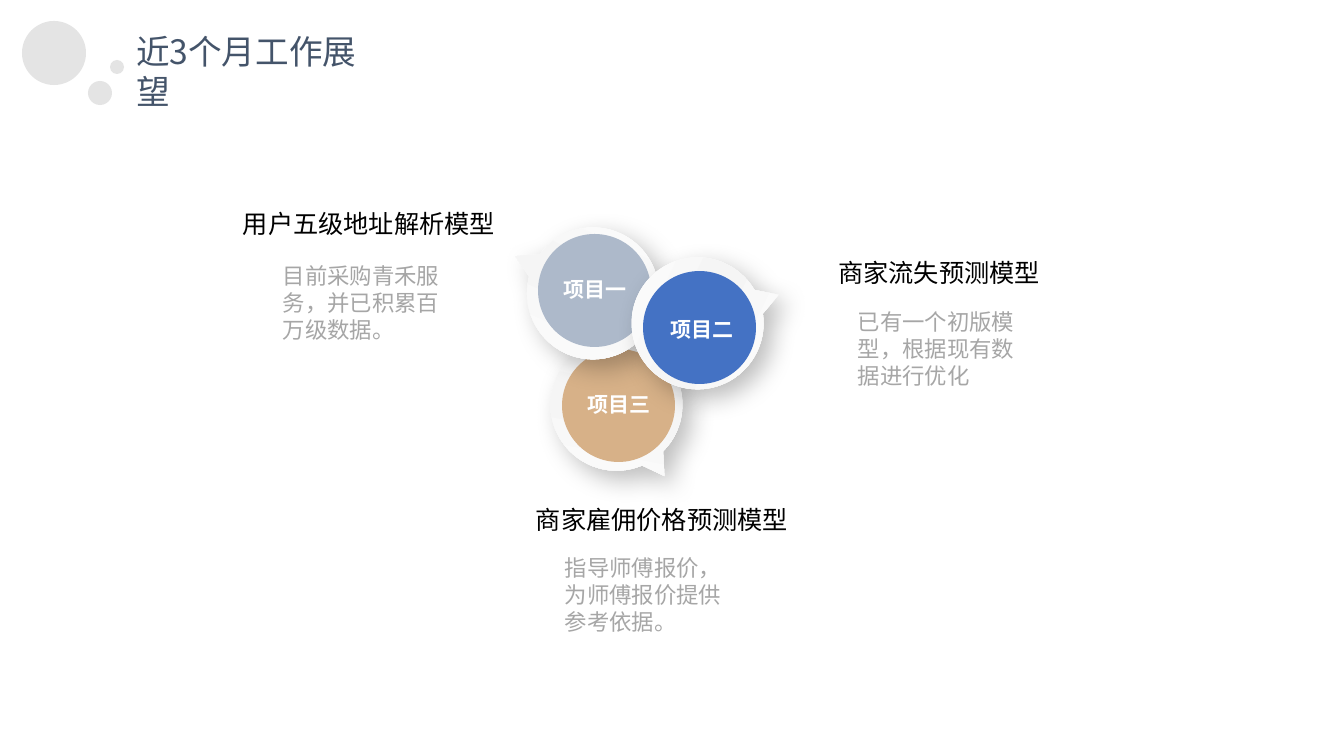
import math

import lxml.etree
import pptx
import pptx.dml.color
import pptx.enum.shapes
import pptx.enum.text
import pptx.oxml
import pptx.oxml.ns
import pptx.util

PX = 914400 / 100.8
RADIUS, TIP, TAIL, DISC = 66, 86, 11, 113  # px, px, degrees, px
FINE = 100  # outline units in one px
SHAPE = pptx.enum.shapes.MSO_SHAPE
ALIGN = pptx.enum.text.PP_ALIGN
ANCHOR = pptx.enum.text.MSO_ANCHOR
RGB = pptx.dml.color.RGBColor.from_string
qn = pptx.oxml.ns.qn
NS = pptx.oxml.ns.nsdecls("a")
CJK = "Noto Sans CJK SC"

THEME = {
    "dots": "D9D9D9",
    "title": dict(size=24, color="44546A", name=CJK, bold=False),
    "label": dict(size=15, color="FFFFFF", name=CJK, bold=True),
    "heading": dict(size=18, color="000000", name="Arial", bold=False),
    "body": dict(size=16, color="A6A6A6", name="Arial", bold=False),
}

GRADIENT = (
    '<a:gradFill {ns} rotWithShape="1"><a:gsLst>'
    '<a:gs pos="0"><a:srgbClr val="FFFFFF"/></a:gs>'
    '<a:gs pos="47000"><a:srgbClr val="F5F5F5"/></a:gs>'
    '<a:gs pos="100000"><a:srgbClr val="FFFFFF"/></a:gs>'
    '</a:gsLst><a:lin ang="{angle}" scaled="0"/></a:gradFill>'
)
SHADOW = (
    f'<a:effectLst {NS}><a:outerShdw blurRad="228600" dist="114300" dir="2700000" '
    'algn="tl" rotWithShape="0"><a:srgbClr val="000000"><a:alpha val="25000"/>'
    '</a:srgbClr></a:outerShdw></a:effectLst>'
)


def write(sp, box, text, style, align=ALIGN.LEFT, anchor=ANCHOR.TOP, wrap=True):
    """Place a text shape at box (px) and fill it with one styled run."""
    sp.left, sp.top, sp.width, sp.height = [round(v * PX) for v in box]
    look = THEME[style]
    tf = sp.text_frame
    tf.word_wrap, tf.vertical_anchor = wrap, anchor
    tf.auto_size = pptx.enum.text.MSO_AUTO_SIZE.NONE
    p = tf.paragraphs[0]
    p.alignment, p.line_spacing = align, 1.0
    r = p.add_run()
    r.text = text
    r.font.size = pptx.util.Pt(look["size"])
    r.font.color.rgb = RGB(look["color"])
    for key in ("name", "bold"):
        setattr(r.font, key, look[key])
    ea = lxml.etree.SubElement(r._r.get_or_add_rPr(), qn("a:ea"))
    ea.set("typeface", CJK)


def add_disc(x, y, size, color):
    sp = s.shapes.add_shape(SHAPE.OVAL, *[round(v * PX) for v in (x, y, size, size)])
    sp.shadow.inherit = False
    sp.fill.solid()
    sp.fill.fore_color.rgb = RGB(color)
    sp.line.fill.background()
    return sp


prs = pptx.Presentation()
prs.slide_width, prs.slide_height = round(1344 * PX), round(756 * PX)
s = prs.slides.add_slide(prs.slide_layouts[5])

for x, y, size in ((22, 21, 64), (88, 81, 24), (110, 60, 14)):
    dot = add_disc(x, y, size, THEME["dots"])
    clr = dot._element.spPr.find(".//" + qn("a:srgbClr"))
    lxml.etree.SubElement(clr, qn("a:alpha")).set("val", "70000")

write(s.shapes.title, (126, 26, 272, 50), "近3个月工作展望", "title")

# An upright bubble: the tip on top, then four arcs from one foot to the other
stops = [math.radians(a) for a in (TAIL - 90, 0, 90, 180, 270 - TAIL)]
nodes, arcs = [], []
for a in stops:
    nodes.append((round((RADIUS + RADIUS * math.cos(a)) * FINE),
                  round((TIP + RADIUS * math.sin(a)) * FINE)))
for i, (a, b) in enumerate(zip(stops, stops[1:])):
    pull = 4 / 3 * math.tan((b - a) / 4) * RADIUS * FINE
    (x0, y0), (x1, y1) = nodes[i], nodes[i + 1]
    arcs.append((
        (x0 - pull * math.sin(a), y0 + pull * math.cos(a)),
        (x1 + pull * math.sin(b), y1 - pull * math.cos(b)),
        (x1, y1),
    ))

# Back to front: bubble corner, turn, gradient angle, disc corner, colour
bubbles = [
    (556, 337, 146.1, 315, 562, 349, "D7B188"),
    (518, 213, 295.6, 179, 538, 234, "ADB9CA"),
    (641, 244, 70.6, 315, 643, 271, "4472C4"),
]
for left, top, turn, angle, x, y, color in bubbles:
    builder = s.shapes.build_freeform(RADIUS * FINE, 0, scale=PX / FINE)
    builder.add_line_segments(nodes, close=True)
    bubble = builder.convert_to_shape(round(left * PX), round(top * PX))
    bubble.rotation = turn
    bubble.line.fill.background()
    spPr = bubble._element.spPr
    lines = list(spPr.iter(qn("a:lnTo")))
    for line, arc in zip(lines[1:], arcs):
        curve = lxml.etree.Element(qn("a:cubicBezTo"))
        for px, py in arc:
            pt = lxml.etree.SubElement(curve, qn("a:pt"))
            pt.set("x", str(round(px)))
            pt.set("y", str(round(py)))
        line.getparent().replace(line, curve)
    fill = GRADIENT.format(ns=NS, angle=angle * 60000)
    spPr.insert(2, pptx.oxml.parse_xml(fill))
    spPr.append(pptx.oxml.parse_xml(SHADOW))
    add_disc(x, y, DISC, color)

texts = [
    ((662, 306, 80, 46), "项目二", "label"),
    ((579, 381, 80, 46), "项目三", "label"),
    ((555, 266, 80, 46), "项目一", "label"),
    ((233, 203, 285, 40), "用户五级地址解析模型", "heading"),
    ((800, 252, 278, 40), "商家流失预测模型", "heading", ALIGN.CENTER),
    ((526, 499, 323, 40), "商家雇佣价格预测模型", "heading"),
    ((273, 257, 182, 92), "目前采购青禾服务，并已积累百万级数据。", "body"),
    ((848, 303, 182, 92), "已有一个初版模型，根据现有数据进行优化", "body"),
    ((555, 549, 182, 92), "指导师傅报价，为师傅报价提供参考依据。", "body"),
]
for box, text, style, *align in texts:
    sp = s.shapes.add_textbox(0, 0, 0, 0)
    if style == "label":
        write(sp, box, text, style, ALIGN.CENTER, ANCHOR.MIDDLE, wrap=False)
    else:
        write(sp, box, text, style, *align)

prs.save("out.pptx")
